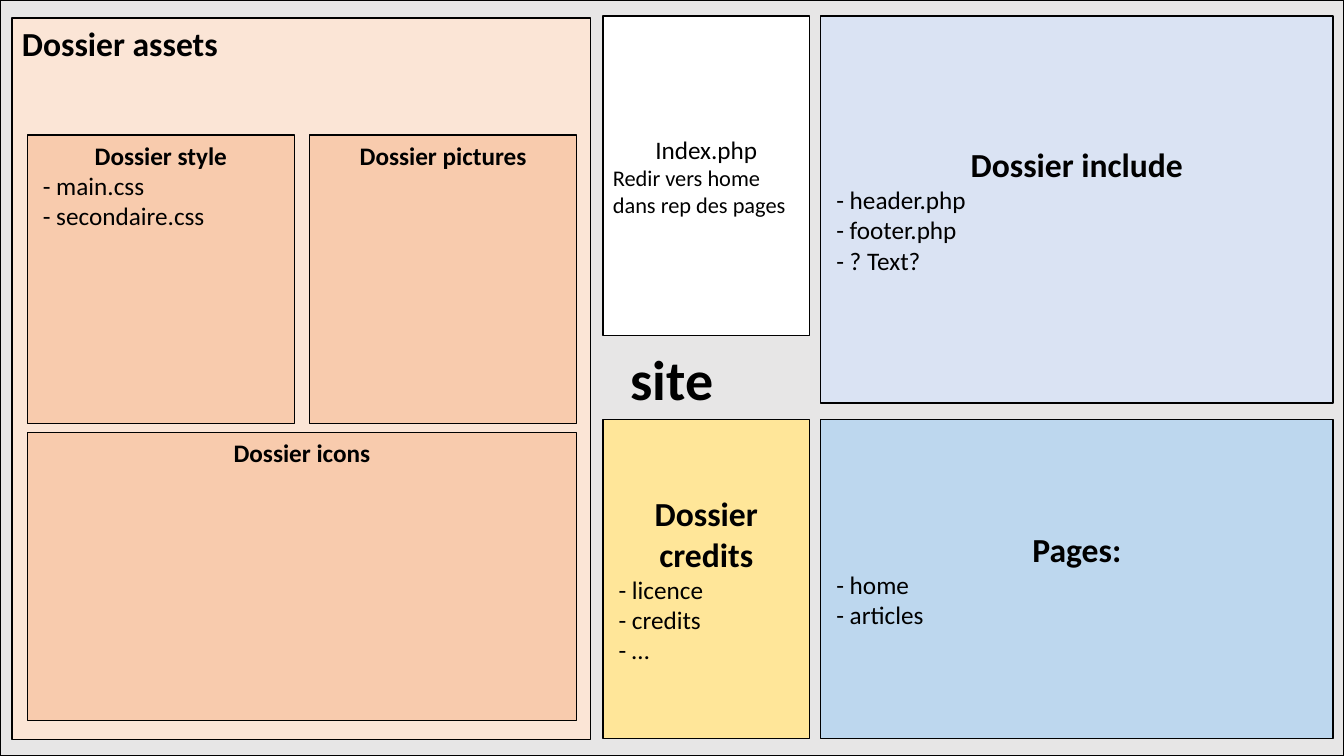
"""Draw the folder map of a website as nested boxes."""
from dataclasses import dataclass

from pptx import Presentation
from pptx.dml.color import RGBColor
from pptx.enum.shapes import MSO_SHAPE
from pptx.enum.text import MSO_ANCHOR as Anchor, PP_ALIGN as Align
from pptx.slide import Slide
from pptx.util import Inches, Pt


@dataclass(frozen=True)
class Theme:
    font: str = "Calibri"
    ink: str = "000000"
    site: str = "E7E6E6"
    index: str = "FFFFFF"
    include: str = "DAE3F3"
    assets: str = "FBE5D6"
    subfolder: str = "F8CBAD"
    credits: str = "FFE699"
    pages: str = "BDD7EE"
    site_size: int = 40
    folder_size: int = 24
    file_size: int = 18
    note_size: int = 16
    border: int = 1


THEME = Theme()


@dataclass(frozen=True)
class Box:
    left: float
    top: float
    width: float
    height: float
    fill: str
    title: str
    title_size: int = THEME.folder_size
    bold: bool = True
    align: Align = Align.CENTER
    anchor: Anchor = Anchor.MIDDLE
    lines: tuple[str, ...] = ()
    line_size: int = THEME.file_size


def files(*names: str) -> tuple[str, ...]:
    """Turn file names into dashed lines."""
    return tuple(f" - {name}" for name in names)


def subfolder(left: float, top: float, width: float, title: str,
              lines: tuple[str, ...] = ()) -> Box:
    """Describe a folder inside the assets folder."""
    return Box(left, top, width, SUB_HEIGHT, THEME.subfolder, title,
               THEME.file_size, anchor=Anchor.TOP, lines=lines)


def draw_box(slide: Slide, box: Box) -> None:
    """Draw a box with its title and lines."""
    shape = slide.shapes.add_shape(
        MSO_SHAPE.RECTANGLE, Inches(box.left), Inches(box.top),
        Inches(box.width), Inches(box.height))
    shape.shadow.inherit = False
    shape.fill.solid()
    shape.fill.fore_color.rgb = RGBColor.from_string(box.fill)
    shape.line.color.rgb = RGBColor.from_string(THEME.ink)
    shape.line.width = Pt(THEME.border)
    frame = shape.text_frame
    frame.word_wrap = True
    frame.vertical_anchor = box.anchor
    rows = [(box.title, box.title_size, box.bold, box.align)]
    rows += [(line, box.line_size, False, Align.LEFT) for line in box.lines]
    for number, (text, size, bold, align) in enumerate(rows):
        paragraph = frame.add_paragraph() if number else frame.paragraphs[0]
        paragraph.alignment = align
        run = paragraph.add_run()
        run.text = text
        run.font.color.rgb = RGBColor.from_string(THEME.ink)
        formats = {"name": THEME.font, "size": Pt(size), "bold": bold}
        for attribute, value in formats.items():
            setattr(run.font, attribute, value)


WIDTH, HEIGHT = 13.33, 7.5
MIDDLE, MIDDLE_WIDTH = 5.98, 2.05
RIGHT, RIGHT_WIDTH = 8.14, 5.08
UPPER, LOWER, ROW_HEIGHT = 0.16, 4.16, 3.17
SUB_LEFT, SUB_TOP, SUB_WIDTH, SUB_HEIGHT = 0.27, 1.34, 2.65, 2.86
SUB_GAP_X, SUB_GAP_Y = 0.15, 0.09

BOXES = (
    Box(0, 0, WIDTH, HEIGHT, THEME.site, "site", THEME.site_size),
    Box(MIDDLE, UPPER, MIDDLE_WIDTH, ROW_HEIGHT, THEME.index, "Index.php",
        THEME.file_size, bold=False,
        lines=("Redir vers home dans rep des pages",),
        line_size=THEME.note_size),
    Box(RIGHT, UPPER, RIGHT_WIDTH, 3.84, THEME.include, "Dossier include",
        lines=files("header.php", "footer.php", "? Text?")),
    Box(0.12, 0.18, 5.74, 7.16, THEME.assets, "Dossier assets",
        align=Align.LEFT, anchor=Anchor.TOP),
    Box(MIDDLE, LOWER, MIDDLE_WIDTH, ROW_HEIGHT, THEME.credits,
        "Dossier credits", lines=files("licence", "credits", "…")),
    Box(RIGHT, LOWER, RIGHT_WIDTH, ROW_HEIGHT, THEME.pages, "Pages:",
        lines=files("home", "articles")),
    subfolder(SUB_LEFT, SUB_TOP, SUB_WIDTH, "Dossier style",
              files("main.css", "secondaire.css")),
    subfolder(SUB_LEFT + SUB_WIDTH + SUB_GAP_X, SUB_TOP, SUB_WIDTH,
              "Dossier pictures"),
    subfolder(SUB_LEFT, SUB_TOP + SUB_HEIGHT + SUB_GAP_Y,
              2 * SUB_WIDTH + SUB_GAP_X, "Dossier icons"),
)


def main() -> None:
    """Build the slide and save it."""
    deck = Presentation()
    deck.slide_width, deck.slide_height = Inches(WIDTH), Inches(HEIGHT)
    slide = deck.slides.add_slide(deck.slide_layouts[6])
    for box in BOXES:
        draw_box(slide, box)
    deck.save("out.pptx")


main()
